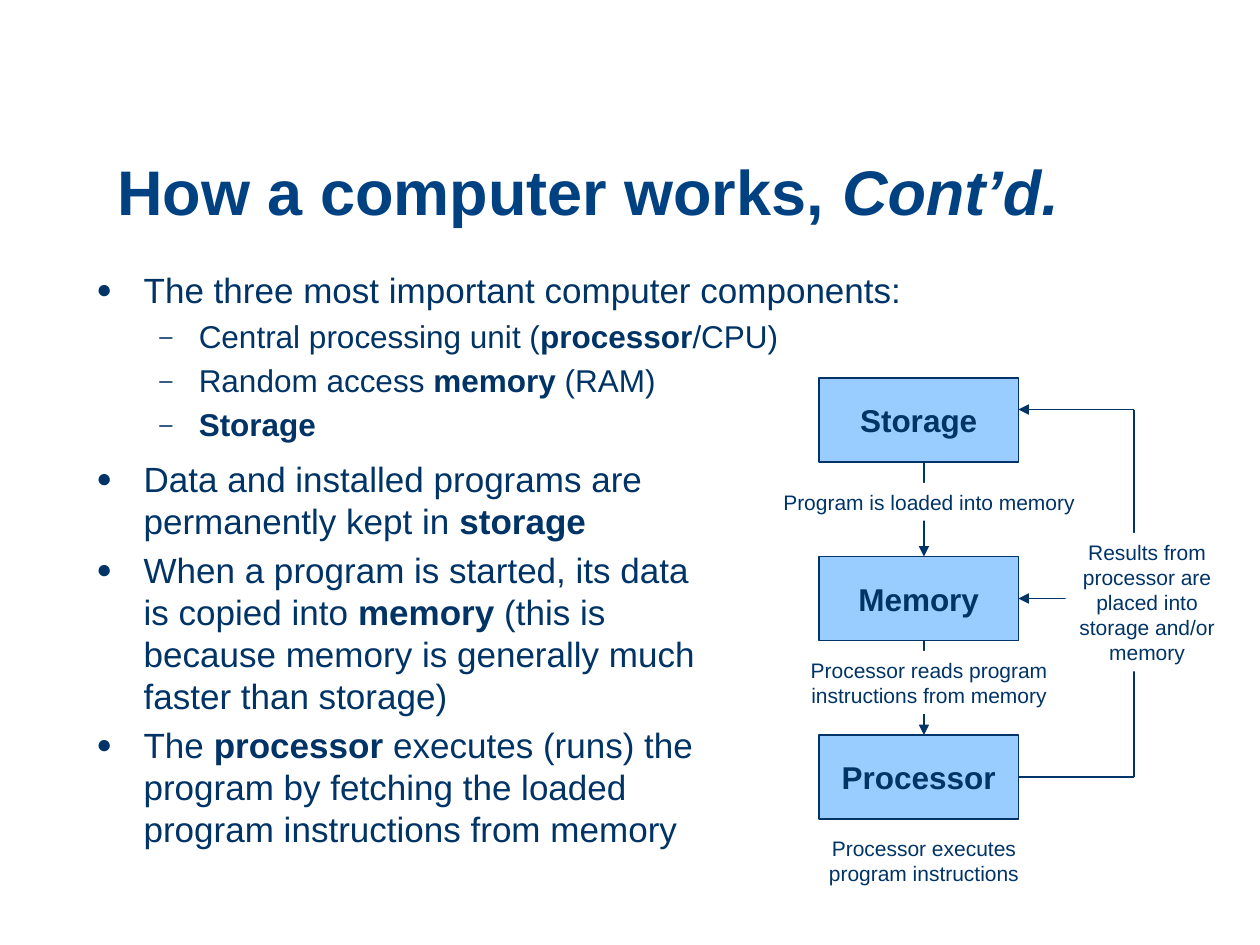
from pptx import Presentation
from pptx.util import Pt
from pptx.dml.color import RGBColor as Rgb
from pptx.enum.shapes import MSO_SHAPE as Shape, MSO_CONNECTOR as Link
from pptx.enum.text import PP_ALIGN as Align, MSO_ANCHOR as Anchor
from pptx.oxml.ns import qn
from lxml.etree import SubElement as Sub

NAVY = "003366"
SKY = "99CCFF"
WHITE = "FFFFFF"
LEVELS = [("●", 20, 27, 27), ("–", 18, 58.5, 22.5)]


def color(code):
    return Rgb.from_string(code)


def write(para, text, size=12, tint=NAVY, bold=False, mark="bold", align=None):
    para.alignment = align
    for i, part in enumerate(text.split("*")):
        if part:
            run = para.add_run()
            run.text = part
            font = run.font
            font.name, font.size, font.bold = "Arial", Pt(size), bold
            font.color.rgb = color(tint)
            if i % 2:
                setattr(font, mark, True)


def bullet(para, level):
    char, size, left, hang = LEVELS[level]
    props = para._p.get_or_add_pPr()
    props.set("marL", str(Pt(left)))
    props.set("indent", str(Pt(-hang)))
    tint = Sub(props, qn("a:buClr"))
    Sub(tint, qn("a:srgbClr"), val=NAVY)
    Sub(props, qn("a:buSzPct"), val="75000")
    Sub(props, qn("a:buFont"), typeface="Arial")
    Sub(props, qn("a:buChar"), char=char)


def area(slide, x, y, w, h):
    frame = slide.shapes.add_textbox(Pt(x), Pt(y), Pt(w), Pt(h)).text_frame
    frame.word_wrap = True
    return frame


def title(slide, text):
    frame = area(slide, 60, 78, 624, 66)
    frame.vertical_anchor = Anchor.MIDDLE
    para = frame.paragraphs[0]
    para.line_spacing = 0.95
    write(para, text, size=36, tint="004182", bold=True, mark="italic")


def bullets(slide, x, y, w, h, items):
    frame = area(slide, x, y, w, h)
    for i, (level, text) in enumerate(items):
        para = frame.add_paragraph() if i else frame.paragraphs[0]
        size = LEVELS[level][1]
        if i:
            para.space_before = Pt(size * 0.2)
        bullet(para, level)
        write(para, text, size=size)


def rect(slide, x, y, w, h, fill):
    box = slide.shapes.add_shape(Shape.RECTANGLE, Pt(x), Pt(y), Pt(w), Pt(h))
    box.shadow.inherit = False
    box.fill.solid()
    box.fill.fore_color.rgb = color(fill)
    return box


def node(slide, y, text):
    box = rect(slide, 468, y, 114, 48, SKY)
    box.line.color.rgb = color(NAVY)
    box.line.width = Pt(0.75)
    frame = box.text_frame
    frame.word_wrap = False
    frame.vertical_anchor = Anchor.MIDDLE
    write(frame.paragraphs[0], text, size=18, bold=True, align=Align.CENTER)


def label(slide, x, y, w, h, text):
    box = rect(slide, x, y, w, h, WHITE)
    box.line.fill.background()
    frame = box.text_frame
    frame.word_wrap = True
    frame.vertical_anchor = Anchor.TOP
    write(frame.paragraphs[0], text, align=Align.CENTER)


def wire(slide, x1, y1, x2, y2, arrow=True):
    line = slide.shapes.add_connector(Link.STRAIGHT, Pt(x1), Pt(y1), Pt(x2), Pt(y2))
    line.line.color.rgb = color(NAVY)
    line.line.width = Pt(0.75)
    if arrow:
        Sub(line.line._get_or_add_ln(), qn("a:tailEnd"), type="triangle")
    Sub(line._element.spPr, qn("a:effectLst"))


def main():
    deck = Presentation()
    deck.slide_width, deck.slide_height = Pt(720), Pt(540)
    slide = deck.slides.add_slide(deck.slide_layouts[6])

    title(slide, "How a computer works, *Cont’d.*")

    for i, name in enumerate(["Storage", "Memory", "Processor"]):
        node(slide, 216 + 102 * i, name)
    for y in (264, 366):
        wire(slide, 528, y, 528, y + 54)
    wire(slide, 582, 444, 648, 444, arrow=False)
    wire(slide, 648, 444, 648, 234, arrow=False)
    for y in (234, 342):
        wire(slide, 648, y, 582, y)

    for spot in [
        (426, 276, 210, 21.6, "Program is loaded into memory"),
        (426, 372, 210, 36, "Processor reads program instructions from memory"),
        (462, 474, 132, 36, "Processor executes program instructions"),
        (609, 304.5, 93, 79.2,
         "Results from processor are placed into storage and/or memory"),
    ]:
        label(slide, *spot)

    bullets(slide, 48, 150, 605.5, 126, [
        (0, "The three most important computer components:"),
        (1, "Central processing unit (*processor*/CPU)"),
        (1, "Random access *memory* (RAM)"),
        (1, "*Storage*"),
    ])
    bullets(slide, 48, 258, 366, 252, [
        (0, "Data and installed programs are permanently kept in *storage*"),
        (0, "When a program is started, its data is copied into *memory* "
            "(this is because memory is generally much faster than storage)"),
        (0, "The *processor* executes (runs) the program by fetching "
            "the loaded program instructions from memory"),
    ])
    deck.save("out.pptx")


if __name__ == "__main__":
    main()
